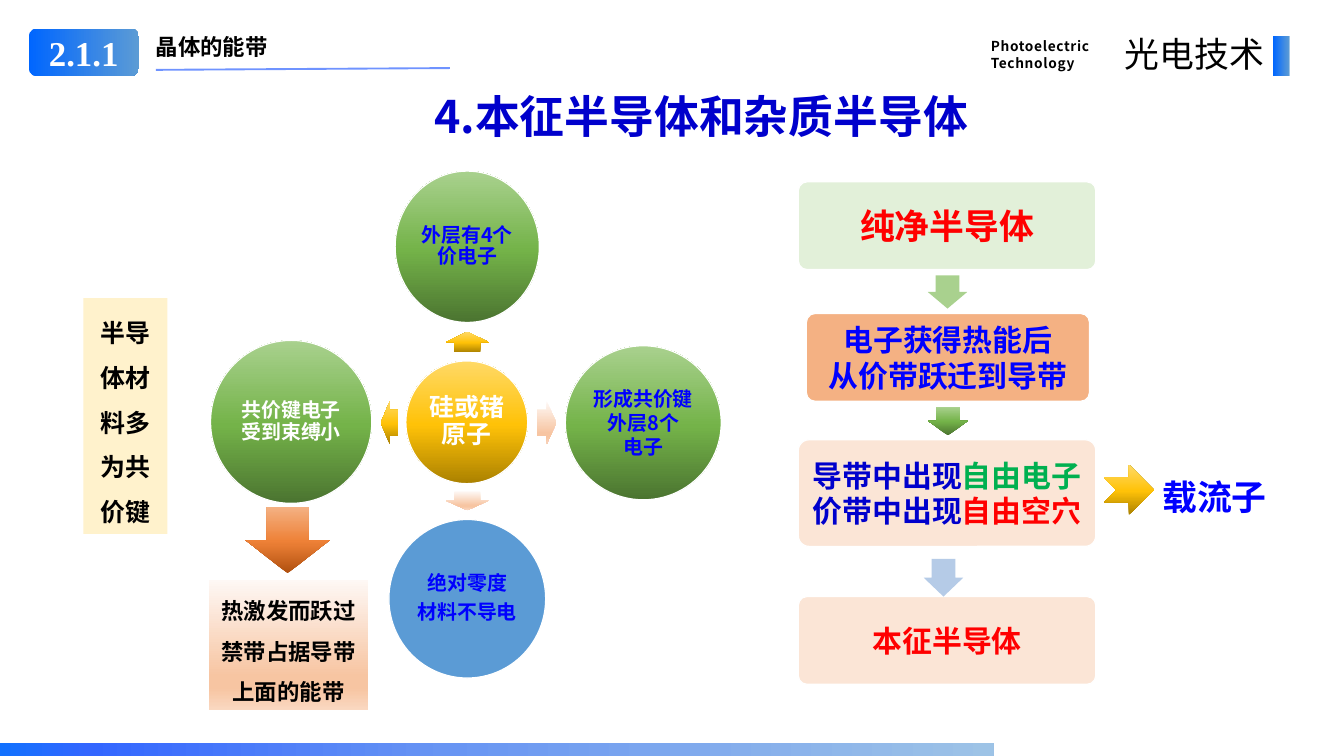
import pptx
import pptx.dml.color
import pptx.enum.shapes
import pptx.enum.text
import pptx.oxml
import pptx.oxml.ns
import pptx.util
from lxml import etree

Inches = pptx.util.Inches
Pt = pptx.util.Pt
MSO = pptx.enum.shapes.MSO_SHAPE
ALIGN = pptx.enum.text.PP_ALIGN
ANCHOR = pptx.enum.text.MSO_ANCHOR
qn = pptx.oxml.ns.qn

ACCENT = ([(0, "0066FF"), (100, "5B9BD5")], 0)
FOOTER = ([(0, "1271FE"), (9, "3366FF"), (45, "6895F3"), (100, "9DC3E6")], 0)
GOLD = ([(0, "AB8100"), (48, "FFC208"), (100, "FFD966")], 270)
GREEN = ([(0, "4B7430"), (48, "74B349"), (100, "A9D18E")], 270)
ORANGE = ([(0, "B0500F"), (48, "EE8137"), (100, "F4B183")], 270)
PEACH = ([(0, "FEF8F5"), (74, "F7C5A2"), (83, "F7C5A2"), (100, "FAD8C1")], 90)


def rgb(value):
    return pptx.dml.color.RGBColor.from_string(value)


def assign(obj, values):
    for name, value in values.items():
        setattr(obj, name, value)


class SlideBuilder:
    font = "Noto Sans CJK SC"

    def __init__(self, slide):
        self.s = slide

    def gradient(self, sp, stops, angle):
        sp.fill.gradient()
        grad = sp._element.spPr.find(qn("a:gradFill"))
        grad.set("rotWithShape", "0")
        for child in list(grad):
            grad.remove(child)
        gs_list = etree.SubElement(grad, qn("a:gsLst"))
        for position, color in stops:
            gs = etree.SubElement(gs_list, qn("a:gs"), pos=str(position * 1000))
            etree.SubElement(gs, qn("a:srgbClr"), val=color)
        etree.SubElement(grad, qn("a:lin"), ang=str(angle * 60000), scaled="0")

    def label(self, sp, paras, size, color, bold=True, font=None, align=ALIGN.CENTER,
              anchor=ANCHOR.TOP, inset=(0.1, 0.05), ls=None, gap=None, spc=None):
        tf = sp.text_frame
        dx, dy = map(Inches, inset)
        assign(tf, {"word_wrap": True, "vertical_anchor": anchor, "margin_left": dx,
                    "margin_right": dx, "margin_top": dy, "margin_bottom": dy})
        for i, runs in enumerate(paras):
            p = tf.add_paragraph() if i else tf.paragraphs[0]
            assign(p, {"alignment": align, "line_spacing": ls})
            if i and gap:
                p.space_before = Pt(gap)
            for part in [runs] if isinstance(runs, str) else runs:
                text, run_color = (part, color) if isinstance(part, str) else part
                r = p.add_run()
                r.text = text
                r.font.color.rgb = rgb(run_color)
                assign(r.font, {"size": Pt(size), "bold": bold, "name": font or self.font})
                rPr = r._r.get_or_add_rPr()
                etree.SubElement(rPr, qn("a:ea"), typeface=font or self.font)
                if spc:
                    rPr.set("spc", str(int(spc * 100)))

    def text(self, at, paras, size, color, **style):
        sp = self.s.shapes.add_textbox(*map(Inches, at))
        self.label(sp, paras, size, color, **style)

    def shape(self, kind, at, fill, line=None, adj=(), rot=0):
        sp = self.s.shapes.add_shape(kind, *map(Inches, at))
        sp.shadow.inherit = False
        sp.rotation = rot
        for i, value in enumerate(adj):
            sp.adjustments[i] = value
        if isinstance(fill, str):
            sp.fill.solid()
            sp.fill.fore_color.rgb = rgb(fill)
        else:
            self.gradient(sp, *fill)
        if line:
            sp.line.color.rgb = rgb(line)
            sp.line.width = Pt(1)
        else:
            sp.line.fill.background()
        return sp

    def arrow(self, at, fill, rot=0):
        self.shape(MSO.RIGHT_ARROW, at, fill, adj=(0.6, 0.5), rot=rot)

    def circle(self, at, fill, paras, size, color, **style):
        sp = self.shape(MSO.OVAL, at, fill, "FFFFFF")
        self.label(sp, paras, size, color, anchor=ANCHOR.MIDDLE, inset=(0.02, 0.02), **style)

    def step(self, at, fill, paras, size, color):
        sp = self.shape(MSO.ROUNDED_RECTANGLE, at, fill, "FFFFFF", adj=(0.1,))
        self.label(sp, paras, size, color, anchor=ANCHOR.MIDDLE)

    def line(self, start, end, color, width, alpha):
        sp = self.s.shapes.add_connector(pptx.enum.shapes.MSO_CONNECTOR.STRAIGHT,
                                         *map(Inches, start + end))
        sp.line.color.rgb = rgb(color)
        sp.line.width = Pt(width)
        clr = next(sp._element.spPr.iter(qn("a:srgbClr")))
        etree.SubElement(clr, qn("a:alpha"), val=str(alpha * 1000))
        etree.SubElement(sp._element.spPr, qn("a:effectLst"))


def header(b):
    b.text((1.64, 0.32, 3.5, 0.4), ["晶体的能带"], 18, "000000", align=ALIGN.LEFT)
    b.text((10.96, 0.36, 1.58, 0.49), ["Photoelectric", "Technology"], 11, "000000",
           align=ALIGN.LEFT, ls=Pt(14), spc=0.5)
    b.shape(MSO.RECTANGLE, (14.21, 0.4, 0.18, 0.45), ACCENT)
    badge = b.shape(MSO.ROUNDED_RECTANGLE, (0.32, 0.32, 1.23, 0.53), ACCENT)
    b.label(badge, ["2.1.1"], 28, "FFFFFF", font="Times New Roman", anchor=ANCHOR.MIDDLE)
    b.line((1.74, 0.78), (5.02, 0.76), "3366FF", 1.5, 70)
    b.text((12.31, 0.32, 1.9, 0.57), ["光电技术"], 28, "000000", bold=False,
           align=ALIGN.RIGHT, spc=0.2)
    b.shape(MSO.RECTANGLE, (0, 8.3, 11.09, 0.14), FOOTER)
    b.text((4.64, 0.94, 6.37, 0.71), ["4.本征半导体和杂质半导体"], 36, "0000CC")


def atom_diagram(b):
    b.circle((4.53, 4.03, 1.36, 1.37), GOLD, ["硅或锗原子"], 20, "FFFFFF", ls=0.9)
    b.circle((4.41, 1.91, 1.61, 1.69), GREEN, ["外层有4个价电子"], 16, "0000FF", ls=0.9)
    b.circle((6.31, 3.86, 1.74, 1.72), GREEN, ["形成共价键外层8个", "电子"], 16, "0000FF")
    b.circle((4.34, 5.8, 1.75, 1.77), "5B9BD5", ["绝对零度", "材料不导电"], 16, "0000FF",
             ls=0.9, gap=6)
    b.circle((2.35, 3.8, 1.8, 1.82), GREEN, ["共价键电子受到束缚小"], 16, "FFFFFF", ls=0.9)
    b.arrow((5.1, 3.58, 0.23, 0.48), GOLD, 270)
    b.arrow((5.99, 4.48, 0.22, 0.48), PEACH)
    b.arrow((5.11, 5.35, 0.21, 0.48), PEACH, 90)
    b.arrow((4.25, 4.48, 0.2, 0.48), GOLD, 180)

    for at, fill, text, size in [
        ((0.93, 3.33, 0.94, 2.63), "FFF2CC", "半导体材料多为共价键", 20),
        ((2.33, 6.47, 1.78, 1.46), PEACH, "热激发而跃过禁带占据导带上面的能带", 18),
    ]:
        note = b.shape(MSO.RECTANGLE, at, fill)
        b.label(note, [text], size, "000000", ls=1.5)
    b.shape(MSO.DOWN_ARROW, (2.74, 5.66, 0.94, 0.74), ORANGE)


def carrier_flow(b):
    b.step((8.91, 2.03, 3.32, 0.98), "E2F0D9", ["纯净半导体"], 28, "FF0000")
    b.step((9, 3.5, 3.16, 0.98), "F4B183", ["电子获得热能后", "从价带跃迁到导带"], 24, "0000FF")
    b.step((8.91, 4.91, 3.32, 1.19), "FBE5D6",
           [["导带中出现", ("自由电子", "00B050")], ["价带中出现", ("自由空穴", "FF0000")]],
           24, "0000CC")
    b.step((8.91, 6.66, 3.32, 0.98), "FBE5D6", ["本征半导体"], 24, "FF0000")
    b.arrow((10.39, 3.04, 0.37, 0.44), "A9D18E", 90)
    b.arrow((10.42, 4.48, 0.32, 0.44), GREEN, 90)
    b.arrow((10.32, 6.23, 0.42, 0.44), "B5CBE7", 90)
    b.text((12.75, 5.03, 1.61, 0.72), ["载流子"], 28, "0000FF", ls=1.5)
    b.shape(MSO.NOTCHED_RIGHT_ARROW, (12.32, 5.19, 0.56, 0.56), GOLD)


def main():
    prs = pptx.Presentation()
    assign(prs, {"slide_width": Inches(15), "slide_height": Inches(8.44)})
    b = SlideBuilder(prs.slides.add_slide(prs.slide_layouts[6]))
    header(b)
    atom_diagram(b)
    carrier_flow(b)
    prs.save("out.pptx")


if __name__ == "__main__":
    main()
